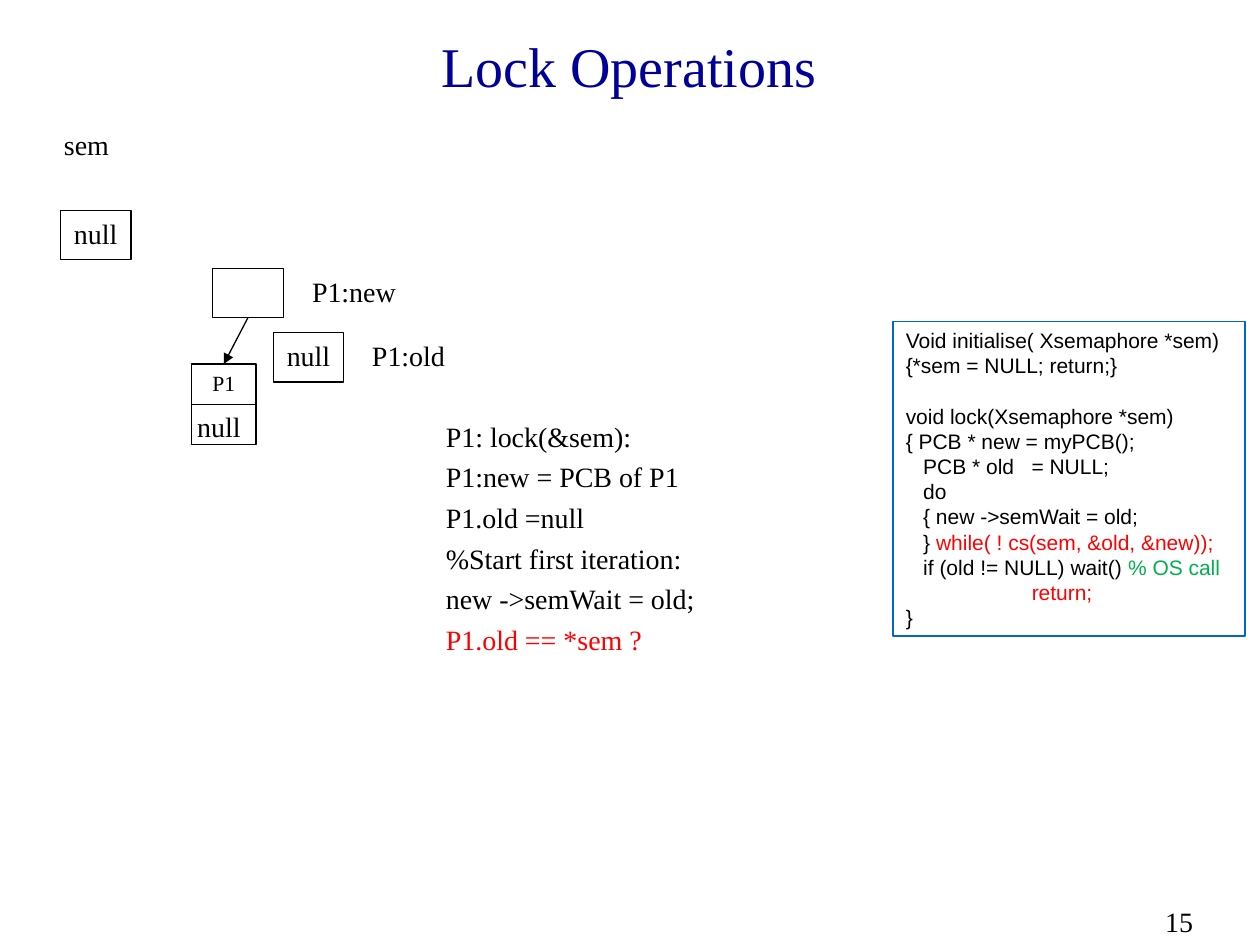
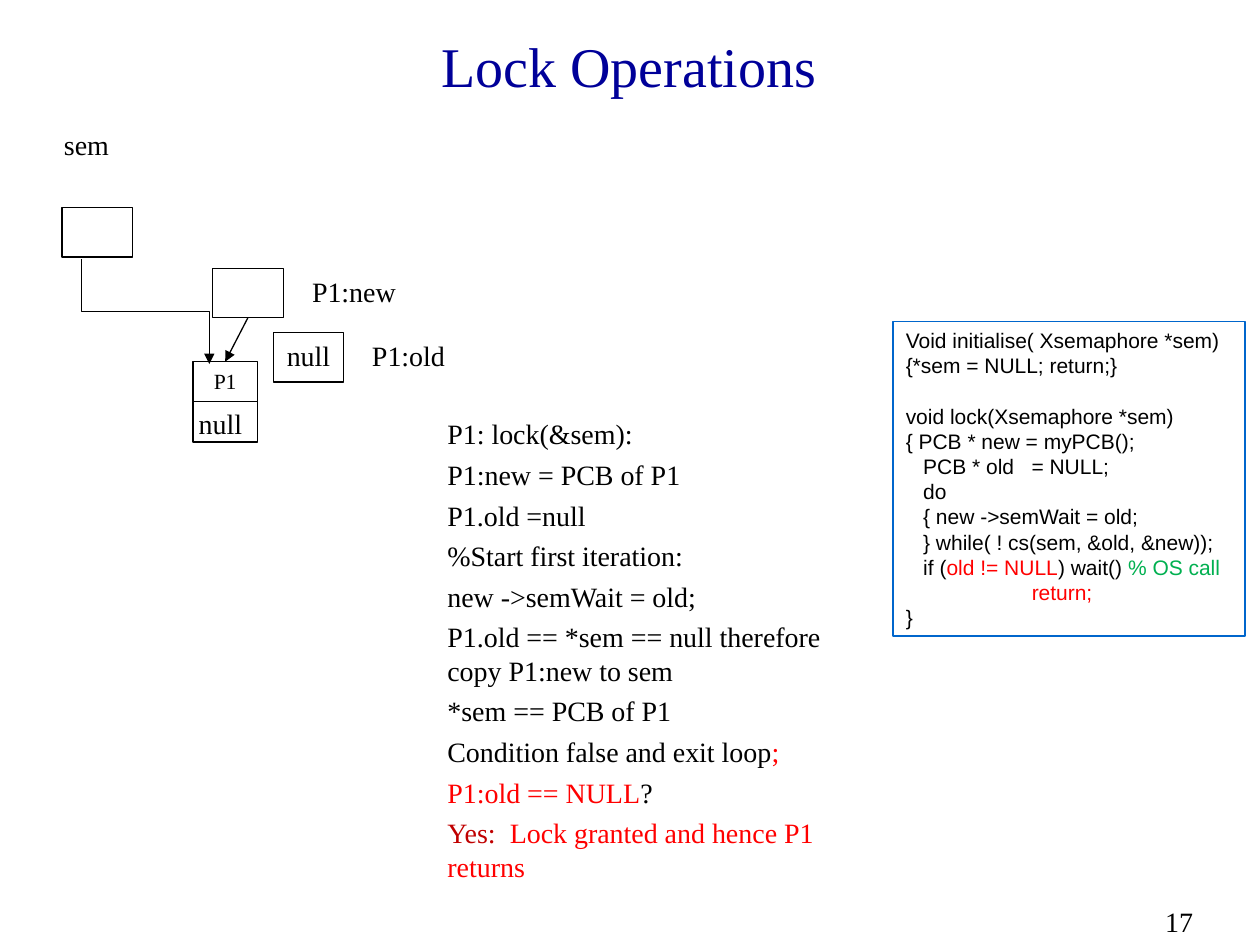
from dataclasses import dataclass
from typing import NamedTuple

from lxml.etree import SubElement
from pptx import Presentation
from pptx.dml.color import RGBColor
from pptx.enum.shapes import MSO_CONNECTOR, MSO_SHAPE
from pptx.enum.text import MSO_ANCHOR, MSO_AUTO_SIZE, PP_ALIGN
from pptx.oxml.ns import qn
from pptx.util import Cm, Pt

BLACK = RGBColor(0x00, 0x00, 0x00)
WHITE = RGBColor(0xFF, 0xFF, 0xFF)
RED = RGBColor(0xFF, 0x00, 0x00)
DARK_RED = RGBColor(0xC0, 0x00, 0x00)
GREEN = RGBColor(0x00, 0xB0, 0x50)
NAVY = RGBColor(0x00, 0x00, 0x99)
FRAME_BLUE = RGBColor(0x00, 0x66, 0xCC)

SERIF, SANS = "Times New Roman", "Arial"
CELL_WIDTH, CELL_HEIGHT = 1.42, 0.99
PCB_WIDTH, PCB_HEIGHT = 1.3, 0.81
TAB_STOP = Cm(2.54)


class Area(NamedTuple):
    """Left, top, width and height in centimetres."""
    left: float
    top: float
    width: float
    height: float


class Piece(NamedTuple):
    text: str
    color: RGBColor = BLACK


class Line(NamedTuple):
    pieces: list[Piece]
    space_before: float = 0


@dataclass
class TextStyle:
    size: float = 16
    font: str = SERIF
    align: PP_ALIGN = PP_ALIGN.LEFT


@dataclass
class LockStep:
    page: str
    shift_x: float
    shift_y: float
    sem_value: str
    sem_points_to_pcb: bool
    steps: list[Line]
    steps_height: float
    while_pieces: list[Piece]
    if_pieces: list[Piece]


BODY = TextStyle()
CENTRED = TextStyle(align=PP_ALIGN.CENTER)
PCB_NAME = TextStyle(size=12.4, align=PP_ALIGN.CENTER)
CODE = TextStyle(size=12, font=SANS)


def plain(text: str, color: RGBColor = BLACK) -> Line:
    return Line([Piece(text, color)])


def write(shape, lines: list[Line], style: TextStyle, wrap: bool = True) -> None:
    """Fill a shape with lines of coloured pieces."""
    frame = shape.text_frame
    frame.word_wrap = wrap
    frame.auto_size = MSO_AUTO_SIZE.NONE
    frame.vertical_anchor = MSO_ANCHOR.TOP
    for index, line in enumerate(lines):
        paragraph = frame.add_paragraph() if index else frame.paragraphs[0]
        paragraph.alignment = style.align
        paragraph.space_before = Pt(line.space_before if index else 0)
        if line.pieces[0].text.startswith("\t"):
            tabs = SubElement(paragraph._p.get_or_add_pPr(), qn("a:tabLst"))
            SubElement(tabs, qn("a:tab"), pos=str(TAB_STOP), algn="l")
        paragraph.font.size = Pt(style.size)
        paragraph.font.name = style.font
        for piece in line.pieces:
            run = paragraph.add_run()
            run.text = piece.text
            run.font.color.rgb = piece.color


def add_text(slide, area: Area, lines: list[Line], style: TextStyle = BODY,
             wrap: bool = True) -> None:
    write(slide.shapes.add_textbox(*map(Cm, area)), lines, style, wrap)


def add_box(slide, area: Area, text: str = "", style: TextStyle = CENTRED,
            outlined: bool = True):
    """Draw a white rectangle, with a thin black outline if wanted."""
    box = slide.shapes.add_shape(MSO_SHAPE.RECTANGLE, *map(Cm, area))
    box.shadow.inherit = False
    box.fill.solid()
    box.fill.fore_color.rgb = WHITE
    if outlined:
        box.line.color.rgb = BLACK
        box.line.width = Pt(0.75)
    else:
        box.line.fill.background()
    if text:
        write(box, [plain(text)], style)
    return box


def add_arrow(slide, kind: MSO_CONNECTOR, begin: tuple[float, float],
              end: tuple[float, float]):
    arrow = slide.shapes.add_connector(kind, *map(Cm, begin + end))
    arrow.line.color.rgb = BLACK
    arrow.line.width = Pt(0.75)
    SubElement(arrow.line._get_or_add_ln(), qn("a:tailEnd"), type="triangle")
    SubElement(arrow.element.spPr, qn("a:effectLst"))
    return arrow


def add_down_elbow(slide, begin: tuple[float, float],
                   end: tuple[float, float]) -> None:
    """Draw an elbow that leaves downwards: a sideways one, turned by 270 degrees."""
    center_x, center_y = (begin[0] + end[0]) / 2, (begin[1] + end[1]) / 2
    half_width, half_height = (end[1] - begin[1]) / 2, (end[0] - begin[0]) / 2
    arrow = add_arrow(slide, MSO_CONNECTOR.ELBOW,
                      (center_x + half_width, center_y - half_height),
                      (center_x - half_width, center_y + half_height))
    arrow.element.spPr.find(qn("a:xfrm")).set("rot", str(270 * 60000))


def add_variable(slide, left: float, top: float, value: str, label: str,
                 label_left: float) -> None:
    add_box(slide, Area(left, top, CELL_WIDTH, CELL_HEIGHT), value)
    add_box(slide, Area(label_left, top, 2.49, CELL_HEIGHT), label, outlined=False)


def add_frame(presentation, page: str):
    """Start a slide with its title and page number."""
    slide = presentation.slides.add_slide(presentation.slide_layouts[5])
    add_text(slide, Area(23.24, 18.11, 2.16, 0.94), [plain(page)])
    title = slide.shapes.title
    title.left, title.top, title.width, title.height = map(Cm, (1.88, 0.43, 21.59, 1.75))
    write(title, [plain("Lock Operations", NAVY)], TextStyle(32, align=PP_ALIGN.CENTER))
    title.text_frame.vertical_anchor = MSO_ANCHOR.MIDDLE
    return slide


def add_code(slide, while_pieces: list[Piece], if_pieces: list[Piece]) -> None:
    box = add_box(slide, Area(18.01, 6.48, 7.09, 6.35))
    box.fill.background()
    box.line.color.rgb = FRAME_BLUE
    box.line.width = Pt(1)
    write(box, [
        plain("Void initialise( Xsemaphore *sem)"),
        plain("{*sem = NULL; return;}"),
        Line([Piece("void lock(Xsemaphore *sem)")], space_before=14.4),
        plain("{ PCB * new = myPCB();"),
        plain("   PCB * old   = NULL;"),
        plain("   do"),
        plain("   { new ->semWait = old;"),
        Line(while_pieces),
        Line(if_pieces + [Piece("% OS call", GREEN)]),
        Line([Piece("\t"), Piece("return;", RED)]),
        plain("}"),
    ], CODE)


def add_pcb(slide, left: float, top: float) -> None:
    """Draw a process control block: its name above its wait pointer."""
    add_box(slide, Area(left, top, PCB_WIDTH, PCB_HEIGHT), "P1", PCB_NAME)
    add_box(slide, Area(left, top + PCB_HEIGHT, PCB_WIDTH, PCB_HEIGHT))
    add_text(slide, Area(left - 0.13, top + 0.79, 1.37, 0.94), [plain("null")],
             CENTRED, wrap=False)


def add_lock_slide(presentation, step: LockStep) -> None:
    slide = add_frame(presentation, step.page)
    add_text(slide, Area(1.04, 2.44, 4.93, 0.94), [plain("sem")])

    # Semaphore, control block and steps move together
    pcb_left, pcb_top = 3.86 + step.shift_x, 7.34 + step.shift_y
    add_pcb(slide, pcb_left, pcb_top)
    spaced = [line._replace(space_before=4) for line in step.steps]
    add_text(slide, Area(8.74 + step.shift_x, 8.33 + step.shift_y, 8.99,
                         step.steps_height), spaced)
    add_box(slide, Area(1.22 + step.shift_x, 4.24 + step.shift_y,
                        CELL_WIDTH, CELL_HEIGHT), step.sem_value)

    add_code(slide, step.while_pieces, step.if_pieces)

    # Local variables of P1
    new_left, new_top = 4.29, 5.41
    add_variable(slide, new_left, new_top, "", "P1:new", 5.89)
    add_arrow(slide, MSO_CONNECTOR.STRAIGHT,
              (new_left + CELL_WIDTH / 2, new_top + CELL_HEIGHT),
              (pcb_left + PCB_WIDTH / 2, pcb_top))
    add_variable(slide, 5.51, 6.71, "null", "P1:old", 6.99)
    if step.sem_points_to_pcb:
        add_down_elbow(slide, (1.65, 5.23), (4.22, 7.34))


FIRST_STEPS = [plain(text) for text in (
    "P1: lock(&sem):", "P1:new = PCB of P1", "P1.old =null",
    "%Start first iteration:", "new ->semWait = old;")]

LOCK_STEPS = [
    LockStep(
        page="15", shift_x=0, shift_y=0, sem_value="null", sem_points_to_pcb=False,
        steps=FIRST_STEPS + [plain("P1.old == *sem ?", RED)],
        steps_height=5.84,
        while_pieces=[Piece("   } "), Piece("while( ! cs(sem, &old, &new));", RED)],
        if_pieces=[Piece("   if (old != NULL) wait() ")],
    ),
    LockStep(
        page="17", shift_x=0.03, shift_y=-0.05, sem_value="", sem_points_to_pcb=True,
        steps=FIRST_STEPS + [
            plain("P1.old == *sem == null therefore copy P1:new to sem"),
            plain("*sem == PCB of P1"),
            Line([Piece("Condition false and exit loop"), Piece(";", RED)]),
            Line([Piece("P1:old == NULL", RED), Piece("?")]),
            Line([Piece("Yes:  ", DARK_RED),
                  Piece("Lock granted and hence P1 returns", RED)]),
        ],
        steps_height=10.46,
        while_pieces=[Piece("   } while( ! cs(sem, &old, &new));")],
        if_pieces=[Piece("   if ("), Piece("old != NULL", RED), Piece(") wait() ")],
    ),
]


def main() -> None:
    presentation = Presentation()
    presentation.slide_width, presentation.slide_height = Cm(25.4), Cm(19.05)
    for step in LOCK_STEPS:
        add_lock_slide(presentation, step)
    presentation.save("out.pptx")


if __name__ == "__main__":
    main()
